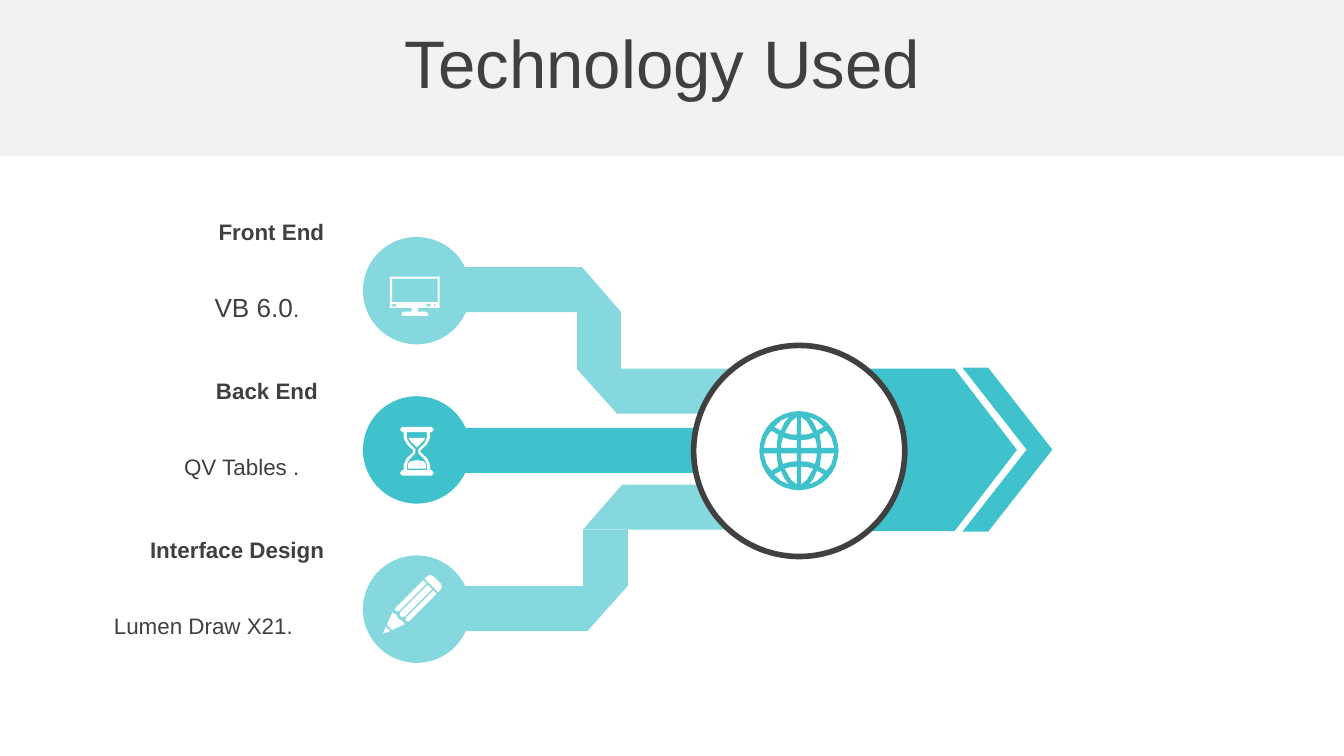
from dataclasses import dataclass
from typing import NamedTuple

from pptx import Presentation
from pptx import util as u
from pptx.dml import color
from pptx.enum import shapes, text

Points = list[tuple[float, float]]
Preset = shapes.MSO_SHAPE


@dataclass(frozen=True)
class Theme:
    font: str = "Arial"
    ink: str = "404040"
    band: str = "F2F2F2"
    light: str = "85D8DE"
    strong: str = "3FC2CB"
    white: str = "FFFFFF"
    title_size: int = 36
    large_size: int = 14
    text_size: int = 12


class Run(NamedTuple):
    words: str
    size: int
    bold: bool = False


class Box(NamedTuple):
    left: float
    top: float
    width: float
    height: float

    def lengths(self) -> list[u.Length]:
        return [u.Cm(value) for value in self]


class Stage(NamedTuple):
    heading: str
    heading_gap: float
    detail: list[Run]
    detail_gap: float
    fill: str


THEME = Theme()
STAGES = [
    Stage("Front End", 0, [Run("VB 6.0", THEME.large_size), Run(".", THEME.text_size)], 0.47, THEME.light),
    Stage("Back End", 0.12, [Run("QV Tables .", THEME.text_size)], 0.47, THEME.strong),
    Stage("Interface Design", 0, [Run("Lumen Draw X21.", THEME.text_size)], 0.59, THEME.light),
]
FIRST_TOP, STAGE_PITCH = 4.48, 3.01
CIRCLE_LEFT, CIRCLE_SIZE = 6.86, 2.03
LABEL_INSET = 0.25


def rectangle(left: float, top: float, right: float, bottom: float) -> Points:
    return [(left, top), (right, top), (right, bottom), (left, bottom)]


def mirrored(right_side: Points) -> Points:
    """Close a right-hand profile with its reflection in the vertical axis."""
    return right_side + [(-x, y) for x, y in reversed(right_side)]


def four_way(quadrant: Points) -> Points:
    """Reflect the upper right quarter of an outline downwards and leftwards."""
    return mirrored(quadrant + [(x, -y) for x, y in reversed(quadrant)])


UPPER_PIPE = [
    [(10.9, 6.97), (14.1, 6.97), (14.1, 7.82), (11.66, 7.82)],
    [(8.79, 5.05), (11, 5.05), (11.74, 5.9), (8.79, 5.9)],
    rectangle(10.9, 5.9, 11.74, 6.97),
]
PIPE_MIRROR_SUM, PIPE_DROP = 22.76, 4.11

MONITOR = [
    mirrored([(0.47, -0.37), (0.47, 0.22), (0.06, 0.22), (0.06, 0.29),
              (0.22, 0.29), (0.25, 0.33), (0.25, 0.37)]),
    rectangle(-0.43, -0.33, 0.43, 0.11),
    rectangle(-0.43, 0.15, -0.35, 0.19),
    rectangle(0.22, 0.15, 0.3, 0.19),
    rectangle(0.36, 0.15, 0.39, 0.19),
]
HOURGLASS = [
    four_way([(0.28, -0.46), (0.32, -0.41), (0.28, -0.36), (0.25, -0.36),
              (0.25, -0.25), (0.19, -0.13), (0.07, -0.02)]),
    four_way([(0.19, -0.36), (0.19, -0.25), (0.14, -0.15), (0.03, -0.04)]),
    mirrored([(0.16, -0.25), (0.12, -0.19), (0, -0.07)]),
    mirrored([(0, 0.17), (0.12, 0.19), (0.17, 0.24), (0.17, 0.33)]),
]
PENCIL_SIDE = [(0.18, -0.53), (0.18, 0.21), (0.14, 0.25), (0.09, 0.21), (0.09, -0.53)]
PENCIL = [
    mirrored([(0.1, -0.72), (0.16, -0.69), (0.18, -0.63), (0.18, -0.57)]),
    PENCIL_SIDE,
    [(-x, y) for x, y in PENCIL_SIDE],
    mirrored([(0.06, -0.53), (0.06, 0.2), (0.03, 0.25)]),
    mirrored([(0, 0.32), (0.08, 0.29), (0.16, 0.31), (0.07, 0.55)]),
    mirrored([(0.06, 0.59), (0, 0.72)]),
]
GLOBE_SIZE = 1.5
GLOBE_CELLS = [
    [(0.42, 0.05), (0.41, 0.18), (0.39, 0.3), (0.52, 0.38), (0.61, 0.26), (0.67, 0.05)],
    [(0.04, 0.05), (0.04, 0.2), (0.17, 0.21), (0.3, 0.25), (0.33, 0.15), (0.34, 0.05)],
    [(0.04, 0.3), (0.04, 0.64), (0.15, 0.55), (0.22, 0.43), (0.27, 0.34), (0.16, 0.31)],
    [(0.34, 0.38), (0.28, 0.52), (0.19, 0.64), (0.34, 0.57), (0.47, 0.45)],
]
GLOBE_RIM = four_way([(0, -0.75), (0.15, -0.73), (0.29, -0.69), (0.42, -0.62), (0.53, -0.53),
                      (0.62, -0.42), (0.69, -0.29), (0.73, -0.15), (0.75, 0)])
GLOBE = [GLOBE_RIM] + [
    [(x * side, y * pole) for x, y in cell]
    for cell in GLOBE_CELLS for side in (-1, 1) for pole in (-1, 1)
]


def paint(shape, fill: str) -> None:
    shape.shadow.inherit = False
    shape.fill.solid()
    shape.fill.fore_color.rgb = color.RGBColor.from_string(fill)
    shape.line.fill.background()


def draw_preset(slide, preset: Preset, box: Box, fill: str, adjustment: float | None = None):
    shape = slide.shapes.add_shape(preset, *box.lengths())
    paint(shape, fill)
    if adjustment is not None:
        shape.adjustments[0] = adjustment
    return shape


def draw_outline(slide, contours: list[Points], fill: str, x: float = 0, y: float = 0):
    """Draw contours as one shape, with their origin at x, y; inner ones are holes."""
    placed = [[(u.Cm(x + px), u.Cm(y + py)) for px, py in contour] for contour in contours]
    builder = slide.shapes.build_freeform(*placed[0][0])
    for index, contour in enumerate(placed):
        if index:
            builder.move_to(*contour[0])
        builder.add_line_segments(contour[1:], close=True)
    shape = builder.convert_to_shape()
    paint(shape, fill)
    return shape


def write(frame, runs: list[Run], alignment: text.PP_ALIGN) -> None:
    frame.word_wrap = True
    frame.vertical_anchor = text.MSO_ANCHOR.MIDDLE
    paragraph = frame.paragraphs[0]
    paragraph.alignment = alignment
    for item in runs:
        run = paragraph.add_run()
        run.text = item.words
        run.font.name = THEME.font
        run.font.size = u.Pt(item.size)
        run.font.bold = item.bold
        run.font.color.rgb = color.RGBColor.from_string(THEME.ink)


def draw_label(slide, top: float, runs: list[Run], gap: float) -> None:
    label = slide.shapes.add_textbox(*Box(1.22, top, 5.16, 0.76).lengths())
    label.text_frame.margin_right = u.Cm(LABEL_INSET + gap)
    write(label.text_frame, runs, text.PP_ALIGN.RIGHT)


def draw_header(slide) -> None:
    title = slide.shapes.title
    title.left, title.top, title.width, title.height = Box(0, 0.36, 25.04, 1.6).lengths()
    write(title.text_frame, [Run("Technology Used", THEME.title_size)], text.PP_ALIGN.CENTER)
    band = draw_preset(slide, Preset.RECTANGLE, Box(0, 0, 25.4, 2.95), THEME.band)
    title.element.addprevious(band.element)


def draw_stage(slide, stage: Stage, top: float) -> None:
    draw_preset(slide, Preset.OVAL, Box(CIRCLE_LEFT, top, CIRCLE_SIZE, CIRCLE_SIZE), stage.fill)
    draw_label(slide, top - 0.49, [Run(stage.heading, THEME.text_size, True)], stage.heading_gap)
    draw_label(slide, top + 0.95, stage.detail, stage.detail_gap)


def main() -> None:
    presentation = Presentation()
    presentation.slide_width, presentation.slide_height = u.Cm(25.4), u.Cm(14.29)
    slide = presentation.slides.add_slide(presentation.slide_layouts[5])
    draw_header(slide)

    for piece in UPPER_PIPE:
        draw_outline(slide, [piece], THEME.light)
        lower = [(PIPE_MIRROR_SUM - x, y + PIPE_DROP) for x, y in piece]
        draw_outline(slide, [lower], THEME.light)
    for index, stage in enumerate(STAGES):
        draw_stage(slide, stage, FIRST_TOP + index * STAGE_PITCH)

    draw_preset(slide, Preset.PENTAGON, Box(16.1, 6.97, 3.12, 3.07), THEME.strong, 0.384)
    draw_preset(slide, Preset.RECTANGLE, Box(8.71, 8.09, 5.36, 0.85), THEME.strong)
    hub = draw_preset(slide, Preset.OVAL, Box(13.11, 6.53, 3.99, 3.99), THEME.white)
    hub.line.color.rgb = color.RGBColor.from_string(THEME.ink)
    hub.line.width = u.Pt(3)
    draw_preset(slide, Preset.CHEVRON, Box(18.19, 6.95, 1.7, 3.1), THEME.strong, 0.714)

    draw_outline(slide, GLOBE, THEME.strong, 15.1, 8.52)
    draw_outline(slide, MONITOR, THEME.white, 7.84, 5.6)
    draw_outline(slide, HOURGLASS, THEME.white, 7.88, 8.53)
    draw_outline(slide, PENCIL, THEME.white, 7.75, 11.47).rotation = 45
    presentation.save("out.pptx")


if __name__ == "__main__":
    main()
